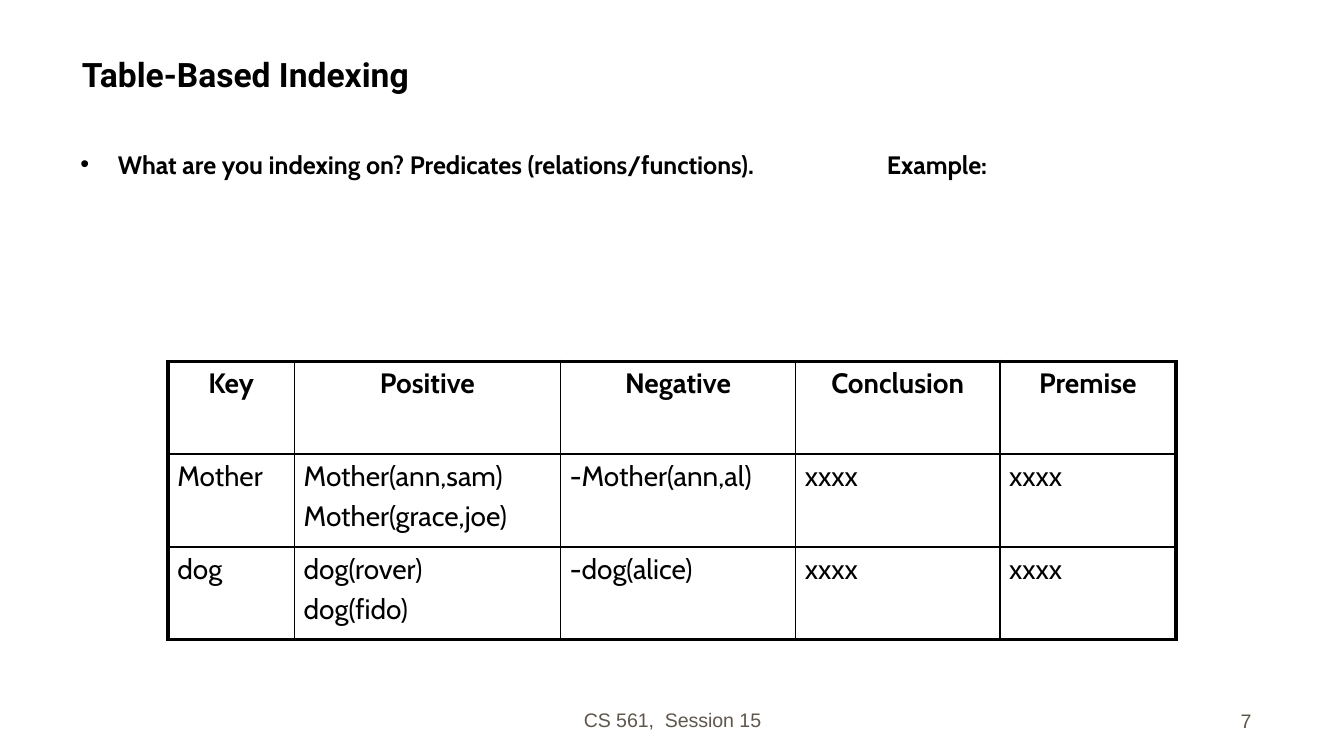
from dataclasses import dataclass

from lxml.etree import SubElement
from pptx import Presentation
from pptx.dml.color import RGBColor
from pptx.enum.text import MSO_ANCHOR as Anchor, PP_ALIGN as Align
from pptx.oxml.ns import qn
from pptx.util import Inches, Pt

BLACK = RGBColor(0x00, 0x00, 0x00)
GRAY = RGBColor(0x5E, 0x57, 0x4E)
THIN, THICK = 1, 2.25

SLIDE_WIDTH = 10
SLIDE_HEIGHT = SLIDE_WIDTH * 9 / 16

COLUMN_WIDTHS = (0.94, 1.98, 1.75, 1.52, 1.31)
ROW_HEIGHTS = (0.69, 0.69, 0.69)
INDEX_ROWS = (
    ("Key", "Positive", "Negative", "Conclusion", "Premise"),
    ("Mother", "Mother(ann,sam)\nMother(grace,joe)", "-Mother(ann,al)", "xxxx", "xxxx"),
    ("dog", "dog(rover)\ndog(fido)", "-dog(alice)", "xxxx", "xxxx"),
)


@dataclass(frozen=True)
class Footer:
    text: str
    left: float
    top: float
    width: float
    align: Align


FOOTERS = (
    Footer("CS 561,  Session 15", 3.42, 5.11, 3.17, Align.CENTER),
    Footer("7", 7.33, 5.12, 2.08, Align.RIGHT),
)


def write_text(frame, text: str, *, size: float, font: str = "Cabin",
               color: RGBColor = BLACK, bold: bool = False,
               align: Align = Align.LEFT, gap: float = 0) -> None:
    """Write one paragraph per line, with gap points between them."""
    frame.word_wrap = True
    for index, line in enumerate(text.split("\n")):
        paragraph = frame.paragraphs[0] if index == 0 else frame.add_paragraph()
        paragraph.alignment = align
        paragraph.space_before = Pt(gap if index else 0)
        run = paragraph.add_run()
        run.text = line
        run.font.size = Pt(size)
        run.font.name = font
        run.font.bold = bold
        run.font.color.rgb = color


def add_text_box(slide, left: float, top: float, width: float, height: float):
    return slide.shapes.add_textbox(
        Inches(left), Inches(top), Inches(width), Inches(height)).text_frame


def add_bullet(paragraph, indent: float, tab: float) -> None:
    properties = paragraph._p.get_or_add_pPr()
    properties.set("marL", str(Inches(indent)))
    properties.set("indent", str(-Inches(indent)))
    SubElement(properties, qn("a:buFont"), typeface="Arial")
    SubElement(properties, qn("a:buChar"), char="•")
    tabs = SubElement(properties, qn("a:tabLst"))
    SubElement(tabs, qn("a:tab"), pos=str(Inches(tab)), algn="l")


def set_borders(cell, widths: dict[str, float]) -> None:
    properties = cell._tc.get_or_add_tcPr()
    for index, (side, width) in enumerate(widths.items()):
        line = properties.makeelement(qn(f"a:ln{side}"), {"w": str(Pt(width))})
        fill = SubElement(line, qn("a:solidFill"))
        SubElement(fill, qn("a:srgbClr"), val=str(BLACK))
        properties.insert(index, line)


def add_index_table(slide) -> None:
    last_row, last_column = len(ROW_HEIGHTS) - 1, len(COLUMN_WIDTHS) - 1
    table = slide.shapes.add_table(
        len(ROW_HEIGHTS), len(COLUMN_WIDTHS), Inches(1.25), Inches(2.69),
        Inches(sum(COLUMN_WIDTHS)), Inches(sum(ROW_HEIGHTS))).table
    table.first_row = table.horz_banding = False
    for column, width in zip(table.columns, COLUMN_WIDTHS):
        column.width = Inches(width)
    for row, height in zip(table.rows, ROW_HEIGHTS):
        row.height = Inches(height)
    for row, texts in enumerate(INDEX_ROWS):
        for column, text in enumerate(texts):
            cell = table.cell(row, column)
            cell.fill.background()
            cell.margin_left = cell.margin_right = Inches(0.07)
            cell.margin_top = cell.margin_bottom = Inches(0.04)
            is_header = row == 0
            write_text(cell.text_frame, text, size=15, bold=is_header, gap=3,
                       align=Align.CENTER if is_header else Align.LEFT)
            set_borders(cell, {
                "L": THICK if column == 0 else THIN,
                "R": THICK if column == last_column else THIN,
                "T": THICK if row == 0 else THIN,
                "B": THICK if row == last_row else THIN,
            })


def main() -> None:
    presentation = Presentation()
    presentation.slide_width = Inches(SLIDE_WIDTH)
    presentation.slide_height = Inches(SLIDE_HEIGHT)
    slide = presentation.slides.add_slide(presentation.slide_layouts[5])

    title = slide.shapes.title
    title.left, title.top = Inches(0.51), Inches(0.19)
    title.width, title.height = Inches(8.92), Inches(0.56)
    title.text_frame.vertical_anchor = Anchor.BOTTOM
    write_text(title.text_frame, "Table-Based Indexing", size=18, font="Roboto", bold=True)

    question = add_text_box(slide, 0.5, 1.06, 8.94, 3.91)
    add_bullet(question.paragraphs[0], indent=0.28, tab=6)
    write_text(question, "What are you indexing on? Predicates (relations/functions).\tExample:",
               size=13.5, bold=True)

    add_index_table(slide)

    for footer in FOOTERS:
        frame = add_text_box(slide, footer.left, footer.top, footer.width, 0.38)
        frame.vertical_anchor = Anchor.BOTTOM
        write_text(frame, footer.text, size=10.5, font="Arial", color=GRAY, align=footer.align)

    presentation.save("out.pptx")


if __name__ == "__main__":
    main()
